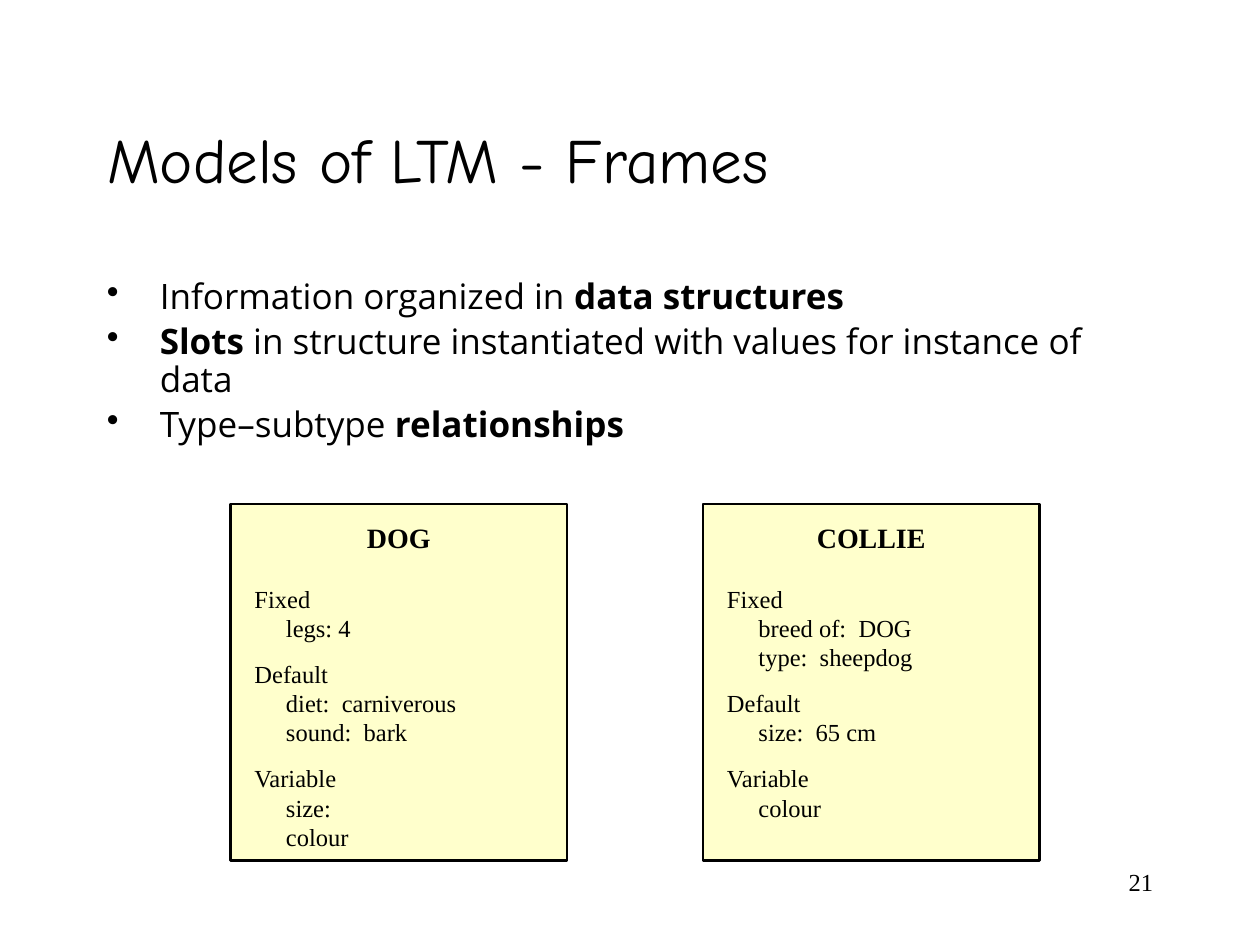
import dataclasses
import pptx
import pptx.dml.color
import pptx.enum.shapes
import pptx.enum.text
import pptx.oxml.ns
import pptx.util
from lxml import etree

Inches = pptx.util.Inches
Pt = pptx.util.Pt
Align = pptx.enum.text.PP_ALIGN
Anchor = pptx.enum.text.MSO_ANCHOR


@dataclasses.dataclass(frozen=True)
class Theme:
    """Colours, fonts and type sizes of the slide."""
    ink: str = "000000"
    card: str = "FFFFCC"
    title_font: str = "Comic Neue"
    body_font: str = "Open Sans"
    frame_font: str = "Times New Roman"
    title_size: int = 36
    body_size: int = 20
    heading_size: int = 16
    slot_size: int = 14


THEME = Theme()


def colour(value):
    """Return an RGB colour from its hex text."""
    return pptx.dml.color.RGBColor.from_string(value)


def style(font, name, size, bold=False):
    """Apply typeface, size, weight and ink to a font."""
    font.name, font.size, font.bold = name, Pt(size), bold
    font.color.rgb = colour(THEME.ink)


def place(shape, box):
    """Move a shape to a box of left, top, width and height in inches."""
    shape.left, shape.top, shape.width, shape.height = map(Inches, box)


def next_paragraph(frame, is_first):
    """Return the first paragraph of a text frame or a new one."""
    return frame.paragraphs[0] if is_first else frame.add_paragraph()


def add_title(slide, box, text):
    """Fill and format the title placeholder."""
    title = slide.shapes.title
    place(title, box)
    title.text_frame.text = text
    title.text_frame.vertical_anchor = Anchor.MIDDLE
    line = title.text_frame.paragraphs[0]
    line.alignment = Align.LEFT
    line.line_spacing = 0.9
    style(line.font, THEME.title_font, THEME.title_size)


def add_bullets(slide, box, points):
    """Add bulleted points, each a list of text and bold pairs."""
    frame = slide.shapes.add_textbox(*map(Inches, box)).text_frame
    frame.word_wrap = True
    for index, point in enumerate(points):
        line = next_paragraph(frame, index == 0)
        line.line_spacing = 0.9
        line.space_before = Pt(4)
        properties = line._p.get_or_add_pPr()
        properties.set("marL", str(Inches(0.42)))
        properties.set("indent", str(-Inches(0.42)))
        bullet = etree.SubElement(properties, pptx.oxml.ns.qn("a:buChar"))
        bullet.set("char", "•")
        for text, bold in point:
            run = line.add_run()
            run.text = text
            style(run.font, THEME.body_font, THEME.body_size, bold)


def add_frame(slide, box, heading, groups):
    """Add a card with a heading and groups of indented slots."""
    card = slide.shapes.add_shape(
        pptx.enum.shapes.MSO_SHAPE.RECTANGLE, *map(Inches, box))
    card.shadow.inherit = False
    card.fill.solid()
    card.fill.fore_color.rgb = colour(THEME.card)
    card.line.color.rgb = colour(THEME.ink)
    card.line.width = Pt(1.5)
    frame = card.text_frame
    frame.word_wrap = True
    frame.vertical_anchor = Anchor.TOP
    frame.margin_top = Inches(0.13)
    frame.margin_left = frame.margin_right = 0
    name = frame.paragraphs[0]
    name.text = heading
    name.alignment = Align.CENTER
    style(name.font, THEME.frame_font, THEME.heading_size, True)
    for group_index, (group, slots) in enumerate(groups.items()):
        for slot_index, text in enumerate([group, *slots]):
            line = frame.add_paragraph()
            line.text = text
            line.alignment = Align.LEFT
            line.line_spacing = Pt(16.75)
            is_group = slot_index == 0
            gap = 17 if group_index == 0 else 9.5
            line.space_before = Pt(gap if is_group else 0)
            indent = Inches(0.19 if is_group else 0.44)
            line._p.get_or_add_pPr().set("marL", str(indent))
            style(line.font, THEME.frame_font, THEME.slot_size)


def add_page_number(slide, box, number):
    """Add the right-aligned page number."""
    frame = slide.shapes.add_textbox(*map(Inches, box)).text_frame
    frame.word_wrap = True
    line = frame.paragraphs[0]
    line.text = number
    line.alignment = Align.RIGHT
    style(line.font, THEME.frame_font, THEME.slot_size)


def build():
    """Build and save the presentation."""
    deck = pptx.Presentation()
    deck.slide_width, deck.slide_height = Inches(10), Inches(7.5)
    slide = deck.slides.add_slide(deck.slide_layouts.get_by_name("Title Only"))
    add_title(slide, (0.75, 0.67, 7.5, 1.25), "Models of LTM - Frames")
    add_bullets(slide, (0.75, 2.17, 8.5, 1.75), [
        [("Information organized in ", False), ("data structures", True)],
        [("Slots", True),
         (" in structure instantiated with values for instance of data", False)],
        [("Type–subtype ", False), ("relationships", True)],
    ])
    frames = {
        "DOG": {
            "Fixed": ["legs: 4"],
            "Default": ["diet:  carniverous", "sound:  bark"],
            "Variable": ["size:", "colour"],
        },
        "COLLIE": {
            "Fixed": ["breed of:  DOG", "type:  sheepdog"],
            "Default": ["size:  65 cm"],
            "Variable": ["colour"],
        },
    }
    for index, (heading, groups) in enumerate(frames.items()):
        add_frame(slide, (1.83 + 3.75 * index, 4, 2.67, 2.83), heading, groups)
    add_page_number(slide, (7.17, 6.83, 2.08, 0.5), "21")
    deck.save("out.pptx")


build()
